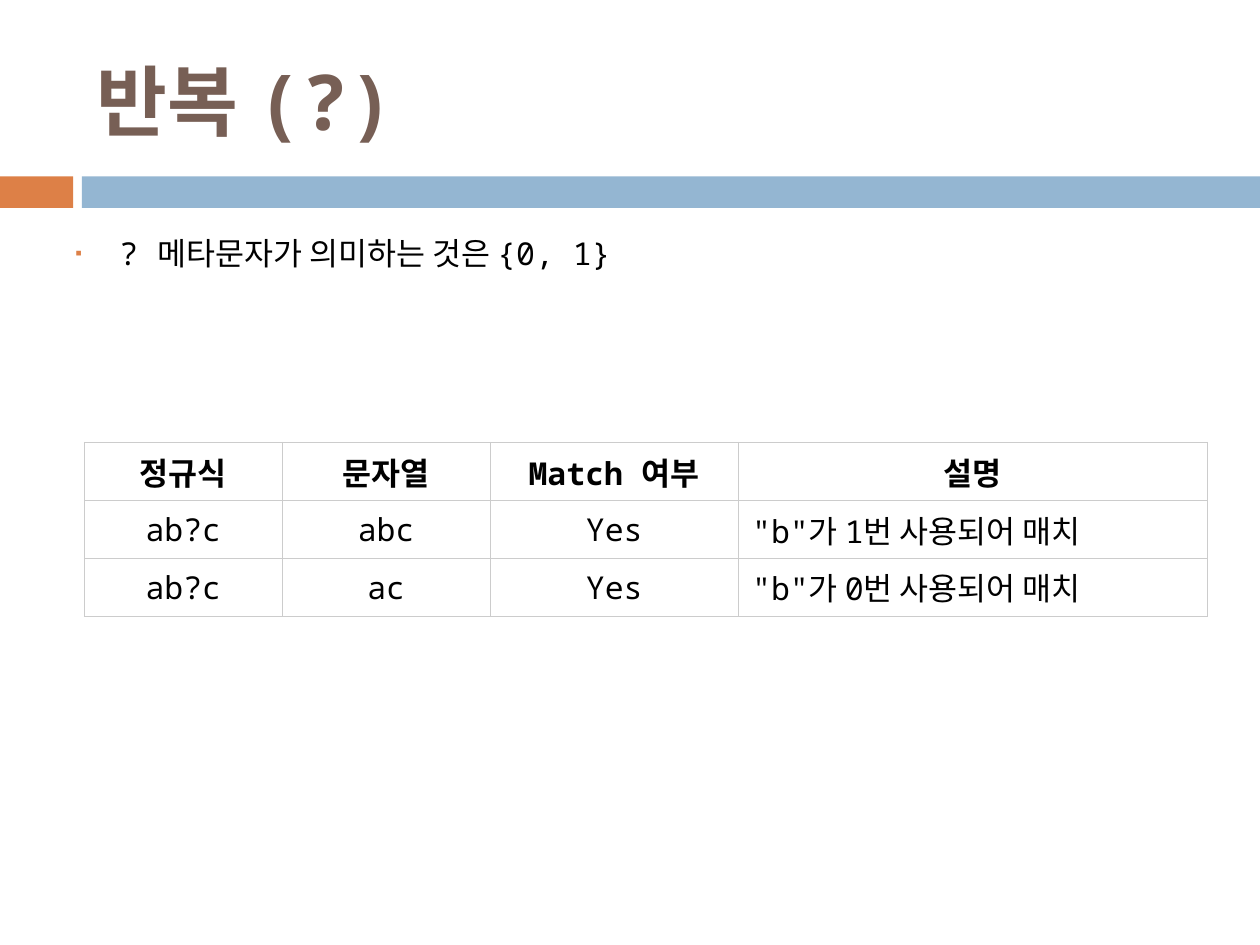
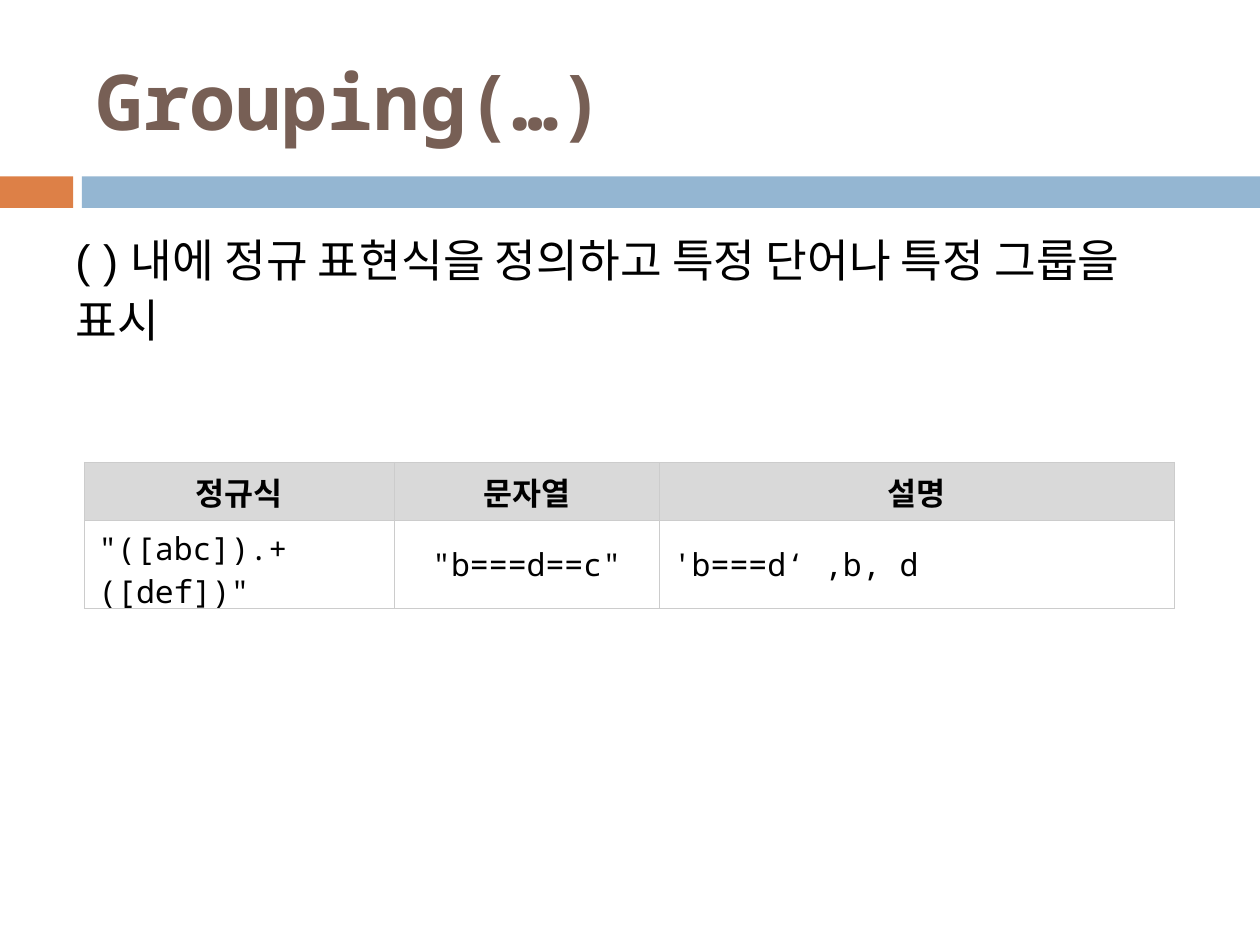
import pptx
import pptx.util
import pptx.dml.color
import pptx.enum.shapes
import pptx.enum.text
import pptx.oxml
import pptx.oxml.ns

RGB = pptx.dml.color.RGBColor
ORANGE = RGB(0xDD, 0x80, 0x47)
BLUE = RGB(0x94, 0xB6, 0xD2)
BROWN = RGB(0x77, 0x5F, 0x55)
BLACK = RGB(0, 0, 0)
WHITE = RGB(0xFF, 0xFF, 0xFF)
GRAY = RGB(0xD9, 0xD9, 0xD9)
BORDER = RGB(0xCC, 0xCC, 0xCC)
MONO = "Noto Sans Mono"
NS = pptx.oxml.ns.nsdecls("a")
Pt = pptx.util.Pt
LEFT = pptx.enum.text.PP_ALIGN.LEFT
CENTER = pptx.enum.text.PP_ALIGN.CENTER
TOP = pptx.enum.text.MSO_ANCHOR.TOP
MIDDLE = pptx.enum.text.MSO_ANCHOR.MIDDLE

prs = pptx.Presentation()
prs.slide_width = pptx.util.Inches(10)
prs.slide_height = pptx.util.Inches(7.5)
U = prs.slide_width / 100  # square grid: 100 columns by 75 rows

# Formats
TITLE = {"name": MONO, "size": Pt(44), "bold": True}
CELL = {"name": MONO, "size": Pt(18), "bold": False}
HEAD = {**CELL, "bold": True}
LEAD = {"name": "Arial", "size": Pt(25.9), "bold": False}
BANDS = [(0, 5.8, ORANGE), (6.5, 93.5, BLUE)]

slides = [
    {"title": "반복 (?)",
     "body": "?\u00a0메타문자가 의미하는 것은\u00a0{0, 1}",
     "format": CELL, "spacing": 1.2, "height": 14.5, "bullet": True,
     "top": 35.1, "cols": [15.7, 16.5, 19.7, 37.2], "head_fill": WHITE,
     "left_cols": [3],
     "rows": [["정규식", "문자열", "Match 여부", "설명"],
              ["ab?c", "abc", "Yes", '"b"가 1번 사용되어 매치'],
              ["ab?c", "ac", "Yes", '"b"가 0번 사용되어 매치']]},
    {"title": "Grouping(…)",
     "body": "( ) 내에 정규 표현식을 정의하고 특정 단어나 특정 그룹을 표시",
     "format": LEAD, "spacing": 1.1, "height": 10.6, "bullet": False,
     "top": 36.7, "cols": [24.6, 21, 40.9], "head_fill": GRAY,
     "left_cols": [0, 2],
     "rows": [["정규식", "문자열", "설명"],
              ['"([abc]).+([def])"', '"b===d==c"', "'b===d‘ ,b, d"]]},
]


def write(tf, text, fmt, color=BLACK, align=LEFT):
    p = tf.paragraphs[0]
    p.alignment = align
    r = p.add_run()
    r.text = text
    for key, value in fmt.items():
        setattr(r.font, key, value)
    r.font.color.rgb = color
    return p


def add_text(s, box, anchor, *args):
    tf = s.shapes.add_textbox(*[int(v * U) for v in box]).text_frame
    tf.word_wrap = True
    tf.vertical_anchor = anchor
    return write(tf, *args)


for data in slides:
    s = prs.slides.add_slide(prs.slide_layouts[6])

    # Bands under the title
    for x, w, color in BANDS:
        sp = s.shapes.add_shape(pptx.enum.shapes.MSO_SHAPE.RECTANGLE,
                                int(x * U), int(14 * U), int(w * U), int(2.5 * U))
        sp.shadow.inherit = False
        sp.fill.solid()
        sp.fill.fore_color.rgb = color
        sp.line.fill.background()

    # Title and body
    add_text(s, (6.7, 2.5, 89.2, 10.8), MIDDLE, data["title"], TITLE, BROWN)
    p = add_text(s, (5, 17.5, 90, data["height"]), TOP, data["body"], data["format"])
    p.line_spacing = data["spacing"]
    p.space_before = Pt(7)
    if data["bullet"]:
        pPr = p._p.get_or_add_pPr()
        pPr.set("marL", str(int(3.5 * U)))
        pPr.set("indent", str(int(-3.5 * U)))
        for xml in (f'<a:buClr {NS}><a:srgbClr val="{ORANGE}"/></a:buClr>',
                    f'<a:buSzPct {NS} val="60000"/>',
                    f'<a:buFont {NS} typeface="Arial"/>',
                    f'<a:buChar {NS} char="▪"/>'):
            pPr.append(pptx.oxml.parse_xml(xml))

    # Table
    rows, cols = data["rows"], data["cols"]
    tbl = s.shapes.add_table(len(rows), len(cols), int(6.7 * U), int(data["top"] * U),
                             int(sum(cols) * U), int(4.6 * U * len(rows))).table
    tbl.horz_banding = False
    for j, w in enumerate(cols):
        tbl.columns[j].width = int(w * U)
    for i, row in enumerate(rows):
        for j, text in enumerate(row):
            cell = tbl.cell(i, j)
            cell.vertical_anchor = MIDDLE
            cell.margin_left = cell.margin_right = int(1.1 * U)
            cell.margin_top = cell.margin_bottom = int(0.5 * U)
            align = LEFT if i and j in data["left_cols"] else CENTER
            write(cell.text_frame, text, CELL if i else HEAD, BLACK, align)
            tcPr = cell._tc.get_or_add_tcPr()
            for side in ("lnL", "lnR", "lnT", "lnB"):
                tcPr.append(pptx.oxml.parse_xml(
                    f'<a:{side} {NS} w="{Pt(0.6)}"><a:solidFill>'
                    f'<a:srgbClr val="{BORDER}"/></a:solidFill></a:{side}>'))
            cell.fill.solid()
            cell.fill.fore_color.rgb = WHITE if i else data["head_fill"]

prs.save("out.pptx")
